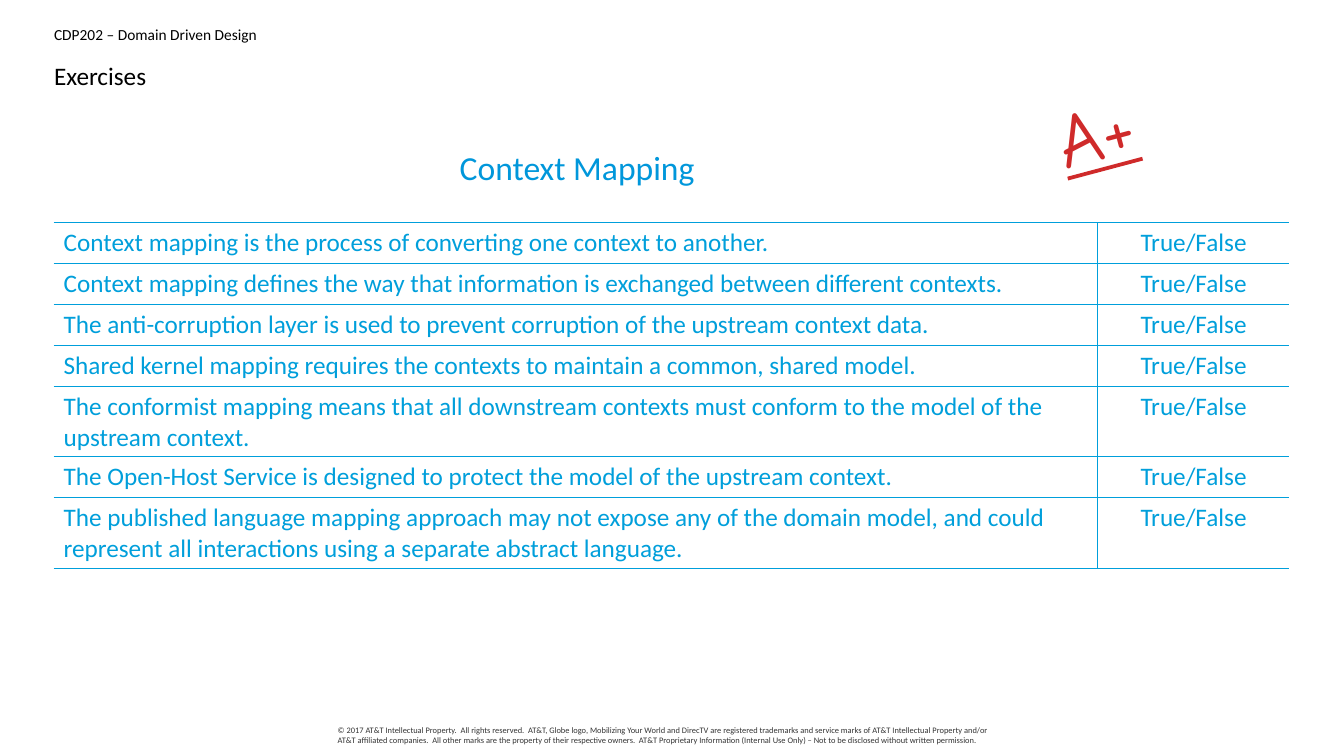
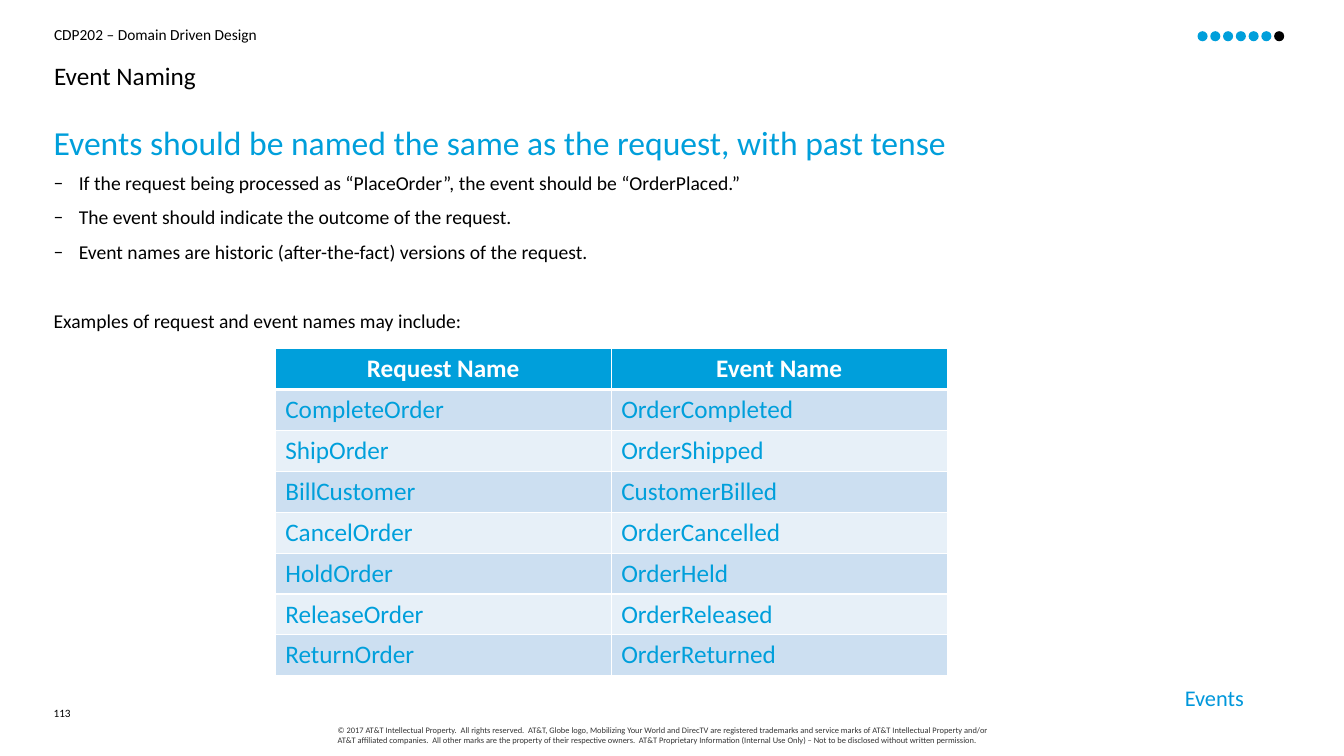
from dataclasses import dataclass

from lxml import etree
from pptx import Presentation
from pptx.dml.color import RGBColor
from pptx.enum.shapes import MSO_SHAPE
from pptx.enum.text import PP_ALIGN
from pptx.oxml.ns import qn
from pptx.util import Pt

LEFT, CENTER, RIGHT = PP_ALIGN.LEFT, PP_ALIGN.CENTER, PP_ALIGN.RIGHT
ELLIPSE = MSO_SHAPE.OVAL


@dataclass(frozen=True)
class Theme:
    font: str = "Calibri"
    grade_font: str = "Comic Neue"
    blue: str = "009FDB"
    heading_blue: str = "0097DB"
    black: str = "000000"
    white: str = "FFFFFF"
    legal_gray: str = "343434"
    grade_red: str = "CF2A2A"
    bands: tuple = ("CCDFF1", "E7F0F8")
    course_size: int = 11
    title_size: int = 18
    heading_size: int = 24
    body_size: int = 14
    table_size: int = 18
    section_size: int = 16
    grade_size: int = 54
    number_size: int = 8
    legal_size: int = 6


THEME = Theme()

# Content
COURSE = "CDP202 – Domain Driven Design"
COPYRIGHT = (
    "© 2017 AT&T Intellectual Property.  All rights reserved.  AT&T, Globe logo, "
    "Mobilizing Your World and DirecTV are registered trademarks and service marks of "
    "AT&T Intellectual Property and/or AT&T affiliated companies.  All other marks are "
    "the property of their respective owners.  AT&T Proprietary Information (Internal "
    "Use Only) – Not to be disclosed without written permission."
)
STATEMENTS = [
    "Context mapping is the process of converting one context to another.",
    "Context mapping defines the way that information is exchanged between different contexts.",
    "The anti-corruption layer is used to prevent corruption of the upstream context data.",
    "Shared kernel mapping requires the contexts to maintain a common, shared model.",
    "The conformist mapping means that all downstream contexts must conform to the model "
    "of the upstream context.",
    "The Open-Host Service is designed to protect the model of the upstream context.",
    "The published language mapping approach may not expose any of the domain model, and "
    "could represent all interactions using a separate abstract language.",
]
ANSWER = "True/False"
NAMING_RULE = "Events should be named the same as the request, with past tense"
NAMING_POINTS = [
    "If the request being processed as “PlaceOrder”, the event should be “OrderPlaced.”",
    "The event should indicate the outcome of the request.",
    "Event names are historic (after-the-fact) versions of the request.",
]
EXAMPLES_LEAD = "Examples of request and event names may include:"
EVENT_NAMES = [
    ("Request Name", "Event Name"),
    ("CompleteOrder", "OrderCompleted"),
    ("ShipOrder", "OrderShipped"),
    ("BillCustomer", "CustomerBilled"),
    ("CancelOrder", "OrderCancelled"),
    ("HoldOrder", "OrderHeld"),
    ("ReleaseOrder", "OrderReleased"),
    ("ReturnOrder", "OrderReturned"),
]

# Layout, in points
SLIDE_W, SLIDE_H = 960, 540
MARGIN, CONTENT_W = 38.6, 882.7
ROW_H = 29.2
DOT_COUNT, DOT_SIZE, DOT_PITCH = 7, 7.2, 9.12
DOT_LEFT, DOT_TOP = 855.4, 22.3
BULLET_INDENT = 18


def style(paragraph, size, color, align=LEFT, font=THEME.font, bold=False, underline=False):
    paragraph.alignment = align
    for run in paragraph.runs:
        run.font.name = font
        run.font.size = Pt(size)
        run.font.bold = bold
        run.font.underline = underline
        run.font.color.rgb = RGBColor.from_string(color)


def add_text(slide, box, text, size, color, inset=(0, 0), wrap=True, **look):
    shape = slide.shapes.add_textbox(*map(Pt, box))
    frame = shape.text_frame
    frame.word_wrap = wrap
    frame.margin_left = frame.margin_right = Pt(inset[0])
    frame.margin_top = frame.margin_bottom = Pt(inset[1])
    frame.text = text
    style(frame.paragraphs[0], size, color, **look)
    return shape


def add_dash(paragraph):
    props = paragraph._p.get_or_add_pPr()
    props.set("marL", str(Pt(BULLET_INDENT)))
    props.set("indent", str(-Pt(BULLET_INDENT)))
    color = etree.SubElement(props, qn("a:buClr"))
    etree.SubElement(color, qn("a:srgbClr"), val=THEME.black)
    etree.SubElement(props, qn("a:buFont"), typeface=THEME.font)
    etree.SubElement(props, qn("a:buChar"), char="–")


def set_borders(cell, color, **widths):
    """Draw the sides given as L, R, T, B widths; the other sides stay empty."""
    props = cell._tc.get_or_add_tcPr()
    for side in "LRTB":
        width = widths.get(side, 0)
        line = etree.SubElement(props, qn(f"a:ln{side}"), w=str(Pt(width)))
        if width:
            fill = etree.SubElement(line, qn("a:solidFill"))
            etree.SubElement(fill, qn("a:srgbClr"), val=color)
        else:
            etree.SubElement(line, qn("a:noFill"))


def add_grid(slide, left, top, widths, rows):
    """Add a plain table and return its cells with their row and column."""
    frame = slide.shapes.add_table(
        len(rows), len(widths), Pt(left), Pt(top), Pt(sum(widths)), Pt(ROW_H * len(rows)))
    table = frame.table
    table.first_row = table.horz_banding = False
    for column, width in zip(table.columns, widths):
        column.width = Pt(width)
    cells = []
    for r, row in enumerate(rows):
        table.rows[r].height = Pt(ROW_H)
        for c, text in enumerate(row):
            cell = table.cell(r, c)
            cell.text_frame.text = text
            cells.append((r, c, cell))
    return cells


def add_base_slide(deck, title):
    slide = deck.slides.add_slide(deck.slide_layouts[6])
    add_text(slide, (MARGIN, 18, CONTENT_W, 14.4), COURSE, THEME.course_size, THEME.black)
    add_text(slide, (241.2, 517.7, 478, 17.3), COPYRIGHT, THEME.legal_size, THEME.legal_gray)
    heading = add_text(slide, (MARGIN, 41, CONTENT_W, 26.6), title,
                       THEME.title_size, THEME.black)
    heading.text_frame.paragraphs[0].line_spacing = 1.1
    return slide


def build_exercises(deck):
    slide = add_base_slide(deck, "Exercises")

    # True or false statements
    rows = [(statement, ANSWER) for statement in STATEMENTS]
    for _, c, cell in add_grid(slide, 38.3, 159.1, (745.9, 136.8), rows):
        divider = {"L": 1} if c else {"R": 1}
        set_borders(cell, THEME.blue, T=1, B=1, **divider)
        cell.fill.background()
        style(cell.text_frame.paragraphs[0], THEME.table_size, THEME.blue,
              align=CENTER if c else LEFT)

    # Topic and grade
    add_text(slide, (320.4, 101.5, 183.6, 36), "Context Mapping", THEME.heading_size,
             THEME.heading_blue, inset=(7.2, 3.6), wrap=False, align=CENTER)
    grade = add_text(slide, (753.8, 56.2, 90.7, 64), "A+", THEME.grade_size,
                     THEME.grade_red, font=THEME.grade_font, underline=True)
    grade.rotation = 345.1


def build_event_naming(deck):
    slide = add_base_slide(deck, "Event Naming")
    add_text(slide, (38.3, 504, 23, 18), "113", THEME.number_size,
             THEME.black).text_frame.paragraphs[0].line_spacing = Pt(10)

    # Naming rule, points and lead-in to the table
    body = add_text(slide, (38.3, 90, CONTENT_W, 150), NAMING_RULE,
                    THEME.heading_size, THEME.blue).text_frame
    body.paragraphs[0].line_spacing = 0.9
    body.paragraphs[0].space_after = Pt(6)
    for text in NAMING_POINTS + [EXAMPLES_LEAD]:
        paragraph = body.add_paragraph()
        paragraph.text = text
        if text == EXAMPLES_LEAD:
            paragraph.space_before = Pt(24.5)
        else:
            add_dash(paragraph)
        paragraph.space_after = Pt(8)
        style(paragraph, THEME.body_size, THEME.black)

    # Request and event names
    for r, _, cell in add_grid(slide, 196.6, 249.1, (240, 240), EVENT_NAMES):
        header = r == 0
        set_borders(cell, THEME.white, L=1, R=1, T=3 if r == 1 else 1, B=3 if header else 1)
        cell.fill.solid()
        cell.fill.fore_color.rgb = RGBColor.from_string(
            THEME.blue if header else THEME.bands[(r - 1) % 2])
        style(cell.text_frame.paragraphs[0], THEME.table_size,
              THEME.white if header else THEME.blue,
              align=CENTER if header else LEFT, bold=header)

    # Progress dots, the last one current
    for i in range(DOT_COUNT):
        dot = slide.shapes.add_shape(ELLIPSE, Pt(DOT_LEFT + i * DOT_PITCH), Pt(DOT_TOP),
                                     Pt(DOT_SIZE), Pt(DOT_SIZE))
        dot.shadow.inherit = False
        dot.line.fill.background()
        dot.fill.solid()
        dot.fill.fore_color.rgb = RGBColor.from_string(
            THEME.black if i == DOT_COUNT - 1 else THEME.blue)

    # Section label
    add_text(slide, (786.2, 485.3, 109.4, 26.6), "Events", THEME.section_size,
             THEME.heading_blue, inset=(7.2, 3.6), align=RIGHT)


def main():
    deck = Presentation()
    deck.slide_width, deck.slide_height = Pt(SLIDE_W), Pt(SLIDE_H)
    build_exercises(deck)
    build_event_naming(deck)
    deck.save("out.pptx")


if __name__ == "__main__":
    main()
